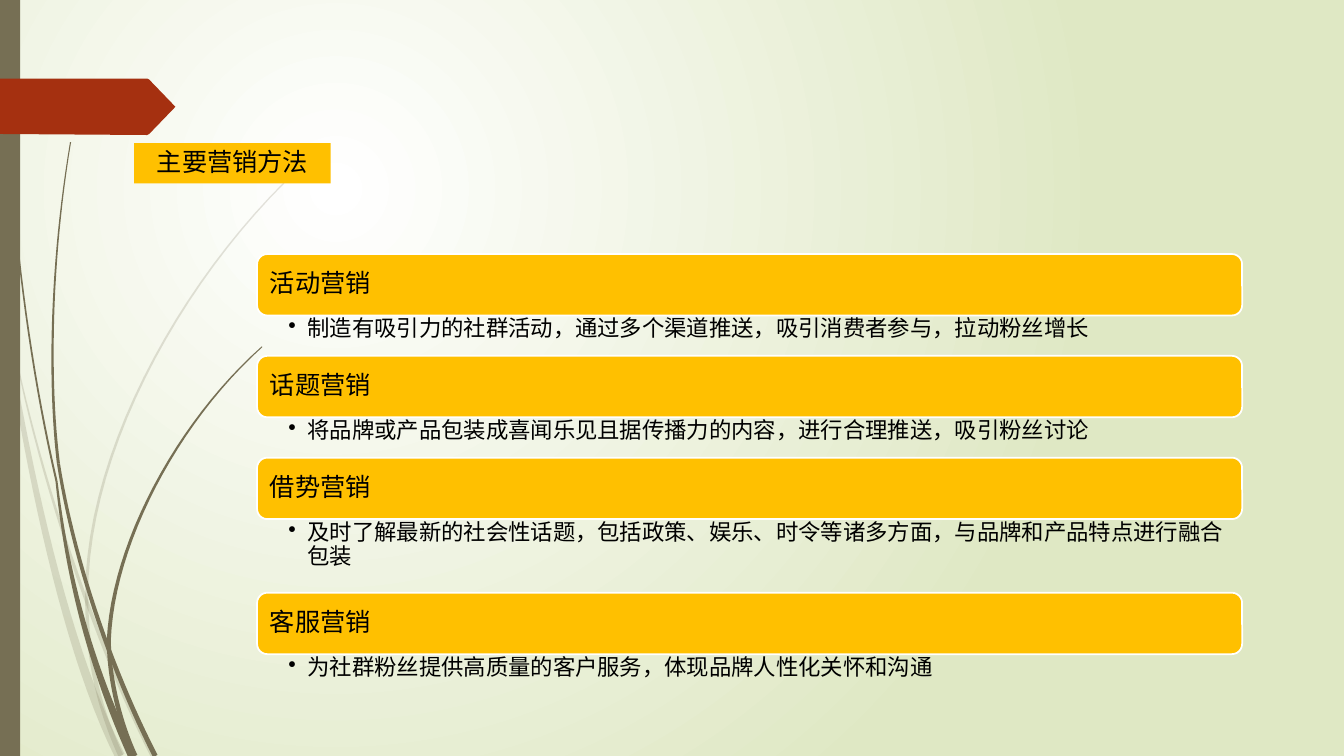
from math import hypot
from lxml.etree import SubElement
from pptx import Presentation
from pptx.dml.color import RGBColor
from pptx.enum.shapes import MSO_SHAPE
from pptx.enum.text import MSO_ANCHOR, PP_ALIGN
from pptx.oxml import parse_xml
from pptx.oxml.ns import nsdecls, qn
from pptx.util import Inches, Pt

COLORS = {"gold": "FFC000", "grass": "766F54", "red": "A53010",
          "white": "FFFFFF", "green": "DFE8C4", "black": "000000"}
FONT = "Noto Sans CJK SC"
BAR_HEIGHT = 0.61

METHODS = [
    ("活动营销", "制造有吸引力的社群活动，通过多个渠道推送，吸引消费者参与，拉动粉丝增长", 0.4),
    ("话题营销", "将品牌或产品包装成喜闻乐见且据传播力的内容，进行合理推送，吸引粉丝讨论", 0.4),
    ("借势营销", "及时了解最新的社会性话题，包括政策、娱乐、时令等诸多方面，与品牌和产品特点进行融合包装", 0.73),
    ("客服营销", "为社群粉丝提供高质量的客户服务，体现品牌人性化关怀和沟通", 0.4),
]

PALE_BLADES = [
    ((0, 2.9), (0.22, 4.3), (0.58, 6.3), (1.19, 7.5), 0.03, 0.1),
    ((0.14, 3.45), (0.4, 4.75), (0.95, 6.4), (1.52, 7.5), 0.01, 0.05),
    ((3.12, 1.53), (1.9, 2.6), (0.86, 4.4), (0.86, 5.9), 0.01, 0.03),
    ((0.86, 5.9), (0.86, 6.5), (0.97, 7), (1.2, 7.5), 0.03, 0.05),
]
DARK_BLADES = [
    ((0.04, 0), (0.05, 1.7), (0.24, 3.4), (0.56, 4.77), 0.01, 0.02),
    ((0.56, 4.77), (0.67, 5.75), (0.9, 6.6), (1.31, 7.5), 0.02, 0.08),
    ((0.7, 1.41), (0.5, 2.6), (0.48, 3.8), (0.58, 4.6), 0.01, 0.03),
    ((0.58, 4.6), (0.72, 5.5), (1.08, 6.6), (1.54, 7.5), 0.03, 0.05),
    ((2.6, 3.44), (1.75, 4.2), (1.12, 5.4), (1.08, 6.35), 0.01, 0.04),
    ((1.08, 6.35), (1.08, 6.75), (1.2, 7.2), (1.34, 7.5), 0.04, 0.05),
]
BANNER = [(0, 0.78), (1.46, 0.78), (1.48, 0.79), (1.74, 1.06),
          (1.48, 1.33), (1.46, 1.34), (0, 1.33)]


def rgb(name):
    return RGBColor.from_string(COLORS[name])


def paint(sp, color):
    sp.shadow.inherit = False
    sp.fill.solid()
    sp.fill.fore_color.rgb = rgb(color)
    sp.line.fill.background()


def add_background(s):
    fill = s.background.fill
    fill.gradient()
    for position, (stop, color) in enumerate(zip(fill.gradient_stops, ("white", "green"))):
        stop.color.rgb = rgb(color)
        stop.position = position
    lin = s.element.xpath(".//p:bg//a:lin")[0]
    lin.getparent().replace(lin, parse_xml(
        f'<a:path {nsdecls("a")} path="circle"><a:fillToRect l="50000" t="50000" '
        'r="100000" b="100000"/></a:path>'))


def blade_outline(a, b, c, d, tip, base, steps=24):
    left, right = [], []
    for t in (i / steps for i in range(steps + 1)):
        u = 1 - t
        x, y = (u**3 * a[k] + 3 * u * u * t * b[k] + 3 * u * t * t * c[k] + t**3 * d[k] for k in (0, 1))
        dx, dy = (u * u * (b[k] - a[k]) + 2 * u * t * (c[k] - b[k]) + t * t * (d[k] - c[k]) for k in (0, 1))
        half = (tip + (base - tip) * t) / 2 / hypot(dx, dy)
        left.append((x - dy * half, y + dx * half))
        right.append((x + dy * half, y - dx * half))
    return left + right[::-1]


def add_outline(s, points, color, alpha=None):
    corners = [(Inches(x), Inches(y)) for x, y in points]
    builder = s.shapes.build_freeform(*corners[0])
    builder.add_line_segments(corners[1:], close=True)
    sp = builder.convert_to_shape()
    paint(sp, color)
    if alpha:
        tint = sp.element.spPr.find(qn("a:solidFill"))[0]
        SubElement(tint, qn("a:alpha"), val=str(alpha * 1000))


def add_box(s, kind, x, y, w, h, color):
    sp = s.shapes.add_shape(kind, Inches(x), Inches(y), Inches(w), Inches(h))
    paint(sp, color)
    return sp


def write(sp, text, size, insets, anchor=MSO_ANCHOR.MIDDLE, align=PP_ALIGN.LEFT, bullet=False):
    tf = sp.text_frame
    tf.word_wrap = True
    tf.vertical_anchor = anchor
    tf.margin_left, tf.margin_top, tf.margin_right, tf.margin_bottom = map(Inches, insets)
    p = tf.paragraphs[0]
    p.alignment = align
    p.line_spacing = 0.9
    if bullet:
        pPr = p._p.get_or_add_pPr()
        pPr.set("marL", str(Inches(0.19)))
        pPr.set("indent", str(-Inches(0.19)))
        SubElement(pPr, qn("a:buChar"), char="•")
    r = p.add_run()
    r.text = text
    r.font.size = Pt(size)
    r.font.name = FONT
    r.font.color.rgb = rgb("black")
    SubElement(r._r.get_or_add_rPr(), qn("a:ea"), typeface=FONT)


def add_method(s, y, title, detail, height):
    bar = add_box(s, MSO_SHAPE.ROUNDED_RECTANGLE, 2.55, y, 9.77, BAR_HEIGHT, "gold")
    bar.line.color.rgb = rgb("white")
    bar.line.width = Pt(1.25)
    write(bar, title, 18, (0.1, 0.1, 0.1, 0.1))
    box = s.shapes.add_textbox(Inches(2.55), Inches(y + BAR_HEIGHT), Inches(9.77), Inches(height))
    write(box, detail, 16, (0.31, 0.02, 0.12, 0.02), MSO_ANCHOR.TOP, bullet=True)


def main():
    prs = Presentation()
    prs.slide_width, prs.slide_height = Inches(13.33), Inches(7.5)
    s = prs.slides.add_slide(prs.slide_layouts[6])
    add_background(s)
    for blades, alpha in ((PALE_BLADES, 20), (DARK_BLADES, None)):
        for blade in blades:
            add_outline(s, blade_outline(*blade), "grass", alpha)
    add_box(s, MSO_SHAPE.RECTANGLE, 0, 0, 0.2, 7.5, "grass")
    add_outline(s, BANNER, "red")
    heading = add_box(s, MSO_SHAPE.RECTANGLE, 1.33, 1.42, 1.95, 0.4, "gold")
    write(heading, "主要营销方法", 18, (0.1, 0.05, 0.1, 0.05), align=PP_ALIGN.CENTER)
    y = 2.52
    for title, detail, height in METHODS:
        add_method(s, y, title, detail, height)
        y += BAR_HEIGHT + height
    prs.save("out.pptx")


if __name__ == "__main__":
    main()
